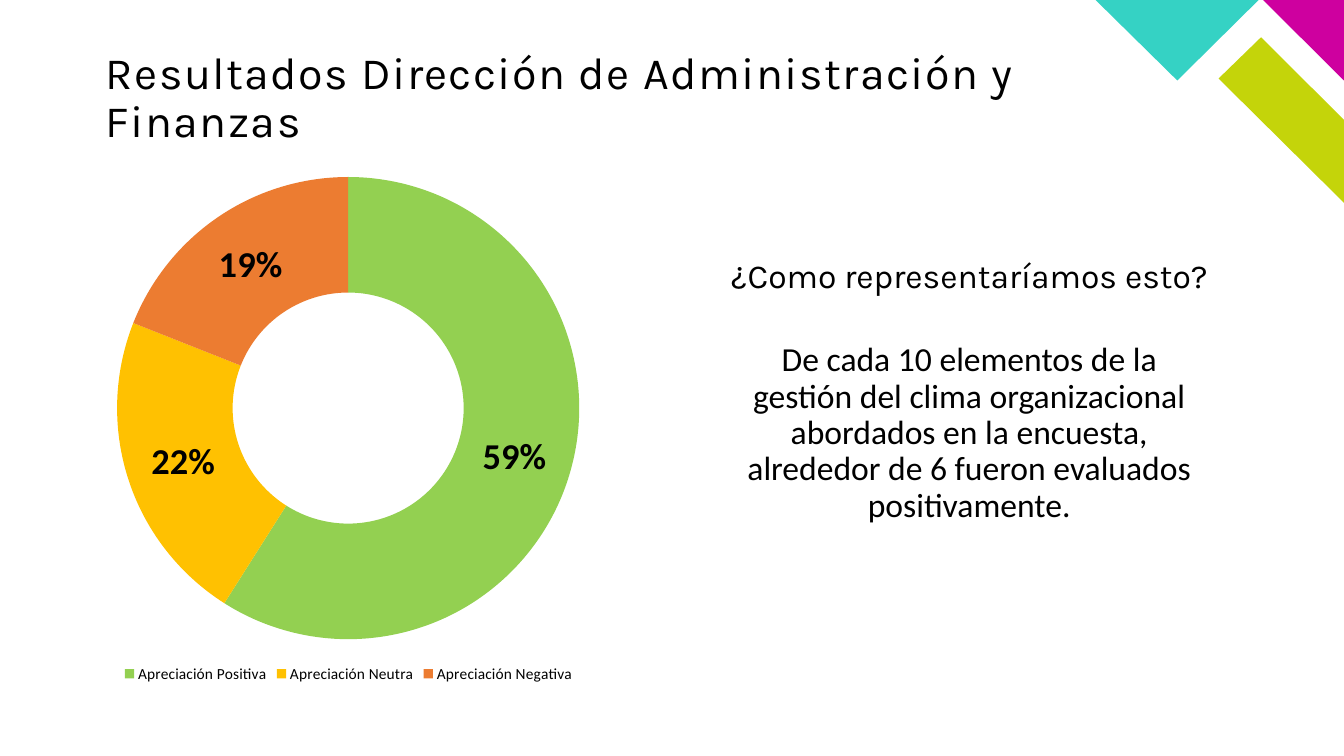
from lxml.etree import SubElement
from pptx import Presentation
from pptx.chart.data import CategoryChartData
from pptx.dml.color import RGBColor
from pptx.enum.chart import XL_CHART_TYPE, XL_LEGEND_POSITION
from pptx.enum.text import MSO_ANCHOR, MSO_AUTO_SIZE, PP_ALIGN
from pptx.oxml.ns import qn
from pptx.util import Cm, Pt

BLACK = RGBColor(0x00, 0x00, 0x00)
LIME = RGBColor(0xC4, 0xD4, 0x0A)
PINK = RGBColor(0xCE, 0x00, 0x9F)
TEAL = RGBColor(0x35, 0xD2, 0xC4)
GREEN = RGBColor(0x93, 0xD0, 0x51)
AMBER = RGBColor(0xFF, 0xC1, 0x01)
ORANGE = RGBColor(0xEC, 0x7C, 0x31)

WIDE, HIGH = 33.87, 19.05
TITLE = "Resultados Dirección de Administración y Finanzas"
ANSWER = ("De cada 10 elementos de la gestión del clima organizacional "
          "abordados en la encuesta, alrededor de 6 fueron evaluados positivamente.")
QUERY = "¿Como representaríamos esto?"
RATINGS = [
    ("Apreciación Positiva", 0.59, GREEN),
    ("Apreciación Neutra", 0.22, AMBER),
    ("Apreciación Negativa", 0.19, ORANGE),
]
CORNERS = [
    (LIME, [(WIDE, 5.11), (WIDE, 3.02), (31.78, 0.94), (30.71, 1.98)]),
    (PINK, [(WIDE, 2.03), (WIDE, 0), (31.83, 0)]),
    (TEAL, [(27.61, 0), (29.67, 2.03), (31.72, 0)]),
]


def write(holder, text, box, size, face, align=PP_ALIGN.CENTER,
          anchor=MSO_ANCHOR.MIDDLE, inset=None, before=None, space=None):
    holder.left, holder.top, holder.width, holder.height = map(Cm, box)
    frame = holder.text_frame
    frame.word_wrap = True
    frame.auto_size = MSO_AUTO_SIZE.NONE
    frame.vertical_anchor = anchor
    if inset is not None:
        frame.margin_left = frame.margin_right = Cm(inset)
        frame.margin_top = frame.margin_bottom = Cm(inset)
    line = frame.paragraphs[0]
    props = line._p.get_or_add_pPr()
    props.set("marL", "0")
    props.set("indent", "0")
    SubElement(props, qn("a:buNone"))
    line.alignment = align
    line.line_spacing = 0.9
    if before is not None:
        line.space_before = Pt(before)
    run = line.add_run()
    run.text = text
    run.font.size = Pt(size)
    run.font.name = face
    run.font.color.rgb = BLACK
    if space:
        run.font._element.set("spc", str(space * 100))


def draw(slide, color, points):
    spots = [(Cm(x), Cm(y)) for x, y in points]
    pen = slide.shapes.build_freeform(*spots[0])
    pen.add_line_segments(spots[1:], close=True)
    shape = pen.convert_to_shape()
    shape.fill.solid()
    shape.fill.fore_color.rgb = color
    shape.line.fill.background()
    shape.shadow.inherit = False


def add_ring(slide):
    data = CategoryChartData(number_format="0%")
    data.categories = [name for name, _, _ in RATINGS]
    data.add_series("Series 1", [value for _, value, _ in RATINGS])
    chart = slide.shapes.add_chart(
        XL_CHART_TYPE.DOUGHNUT, Cm(2.18), Cm(4.11), Cm(13.21), Cm(13.21), data).chart
    chart.font.name = "Calibri"
    chart.font.size = Pt(18)
    chart.has_title = False
    chart.has_legend = True
    legend = chart.legend
    legend.position = XL_LEGEND_POSITION.BOTTOM
    legend.include_in_layout = False
    legend.font.size = Pt(11)
    legend.font.color.rgb = BLACK
    plot = chart.plots[0]
    plot.vary_by_categories = True
    series = plot.series[0]
    for index, (_, _, color) in enumerate(RATINGS):
        look = series.points[index].format
        look.fill.solid()
        look.fill.fore_color.rgb = color
        look.line.fill.background()
    labels = series.data_labels
    labels.show_value = True
    labels.show_percentage = False
    labels.number_format = "0%"
    labels.number_format_is_linked = False
    labels.font.size = Pt(26)
    labels.font.bold = True
    labels.font.color.rgb = BLACK


def main():
    deck = Presentation()
    deck.slide_width, deck.slide_height = Cm(WIDE), Cm(HIGH)
    slide = deck.slides.add_slide(deck.slide_layouts[3])
    title, answer, query = slide.placeholders
    for color, points in CORNERS:
        draw(slide, color, points)
    write(title, TITLE, (2.67, 1.27, 25.4, 1.7), 32, "Karla",
          align=PP_ALIGN.LEFT, anchor=MSO_ANCHOR.TOP, inset=0, space=1)
    write(answer, ANSWER, (18.24, 7.8, 12.37, 6.25), 24, "Calibri")
    write(query, QUERY, (18.08, 5.89, 12.7, 2.21), 24, "Karla")
    add_ring(slide)
    deck.save("out.pptx")


if __name__ == "__main__":
    main()
